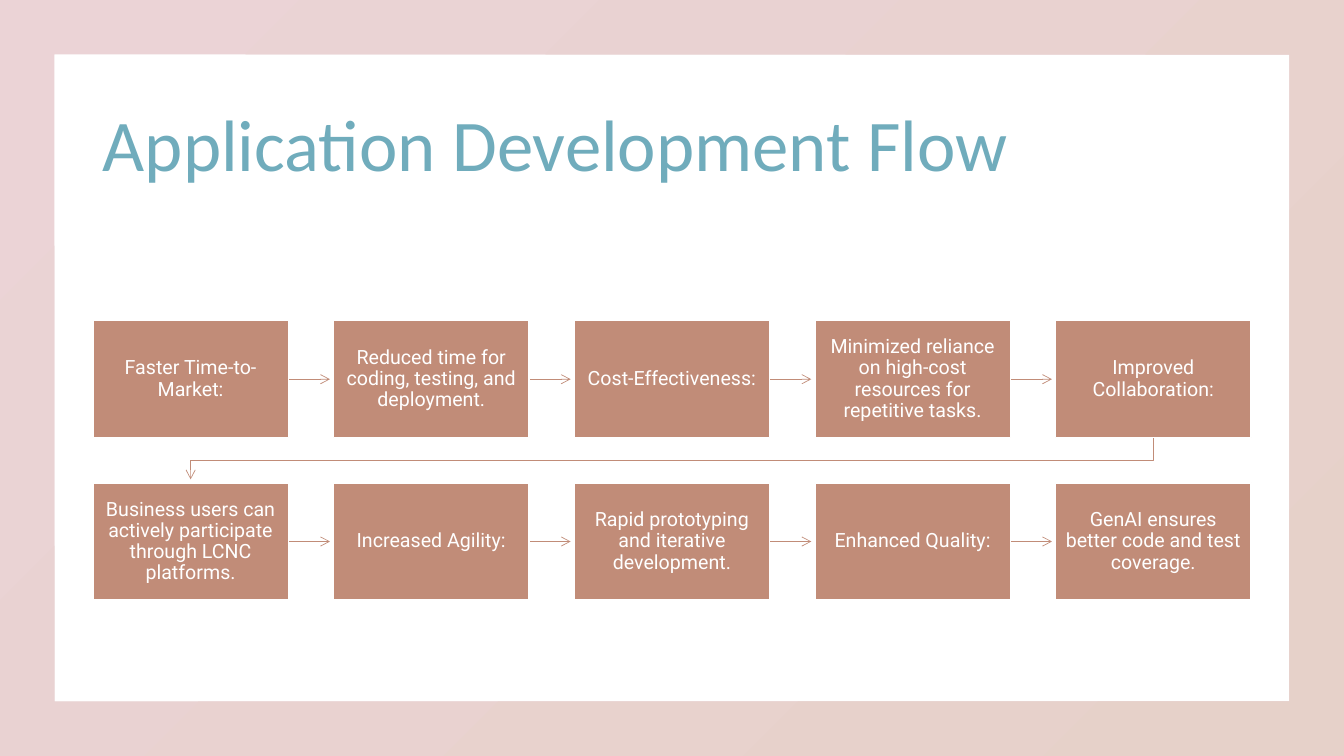
from lxml import etree
from pptx import Presentation
from pptx.dml.color import RGBColor
from pptx.enum.shapes import MSO_CONNECTOR, MSO_SHAPE
from pptx.enum.text import MSO_ANCHOR, MSO_AUTO_SIZE, PP_ALIGN
from pptx.oxml.ns import qn
from pptx.util import Cm, Pt

RECTANGLE, FRAME = MSO_SHAPE.RECTANGLE, MSO_SHAPE.FRAME
STRAIGHT = MSO_CONNECTOR.STRAIGHT
MIDDLE = MSO_ANCHOR.MIDDLE
LEFT, CENTER = PP_ALIGN.LEFT, PP_ALIGN.CENTER
NO_AUTOFIT = MSO_AUTO_SIZE.NONE

WHITE = RGBColor(0xFF, 0xFF, 0xFF)
TEAL = RGBColor(0x70, 0xAC, 0xBC)
CLAY = RGBColor(0xC1, 0x8C, 0x78)
PALE_ROSE = RGBColor(0xEB, 0xD3, 0xD6)
PALE_CLAY = RGBColor(0xE6, 0xD1, 0xC9)

STEPS = [
    "Faster Time-to-Market:",
    "Reduced time for coding, testing, and deployment.",
    "Cost-Effectiveness:",
    "Minimized reliance on high-cost resources for repetitive tasks.",
    "Improved Collaboration:",
    "Business users can actively participate through LCNC platforms.",
    "Increased Agility:",
    "Rapid prototyping and iterative development.",
    "Enhanced Quality:",
    "GenAI ensures better code and test coverage.",
]
COLUMNS = 5
STEP_WIDTH, STEP_HEIGHT = Cm(4.93), Cm(2.95)
ARROW_GAP = Cm(0.09)  # space between an arrowhead and the next step


def write_text(shape, text, *, font, size, color, align=LEFT, inset=Cm(0.25)):
    frame = shape.text_frame
    frame.word_wrap = True
    frame.auto_size = NO_AUTOFIT
    frame.vertical_anchor = MIDDLE
    frame.margin_left = frame.margin_right = inset
    frame.margin_top = frame.margin_bottom = inset
    paragraph = frame.paragraphs[0]
    paragraph.alignment = align
    paragraph.line_spacing = 0.9
    run = paragraph.add_run()
    run.text = text
    run.font.name = font
    run.font.size = Pt(size)
    run.font.color.rgb = color


def add_border(slide, left, top, width, height):
    border = slide.shapes.add_shape(FRAME, left, top, width, height)
    border.shadow.inherit = False
    border.adjustments[0] = 0.072
    border.line.fill.background()
    border.fill.gradient()
    border.fill.gradient_angle = 315
    for stop, color in zip(border.fill.gradient_stops, (PALE_ROSE, PALE_CLAY)):
        stop.color.rgb = color


def add_title(slide, left, top, width, height):
    title = slide.shapes.title
    title.left, title.top, title.width, title.height = left, top, width, height
    write_text(title, "Application Development Flow",
               font="Calibri", size=52, color=TEAL)


def add_step(slide, text, left, top):
    step = slide.shapes.add_shape(RECTANGLE, left, top, STEP_WIDTH, STEP_HEIGHT)
    step.shadow.inherit = False
    step.fill.solid()
    step.fill.fore_color.rgb = CLAY
    step.line.color.rgb = WHITE
    step.line.width = Pt(1)
    write_text(step, text, font="Roboto", size=14, color=WHITE, align=CENTER)


def style_arrow(arrow):
    """Give a line its colour, width and open head, without a shadow."""
    arrow.line.color.rgb = CLAY
    arrow.line.width = Pt(0.5)
    properties = arrow._element.spPr
    etree.SubElement(properties.get_or_add_ln(), qn("a:tailEnd"), type="arrow")
    etree.SubElement(properties, qn("a:effectLst"))


def add_step_arrow(slide, start, end, y):
    style_arrow(slide.shapes.add_connector(STRAIGHT, start, y, end, y))


def add_return_arrow(slide, start_x, start_y, end_x, end_y):
    """Lead from the end of one row down and back to the start of the next."""
    middle_y = (start_y + end_y + ARROW_GAP) // 2
    builder = slide.shapes.build_freeform(start_x, start_y)
    builder.add_line_segments(
        [(start_x, middle_y), (end_x, middle_y), (end_x, end_y)], close=False)
    arrow = builder.convert_to_shape()
    arrow.fill.background()
    style_arrow(arrow)


def add_flow(slide, left, top, width, height):
    """Place the steps in rows that fill the box, joined by arrows."""
    last_row = (len(STEPS) - 1) // COLUMNS
    column_pitch = (width - STEP_WIDTH) // (COLUMNS - 1)
    row_pitch = (height - STEP_HEIGHT) // last_row
    for index, text in enumerate(STEPS):
        row, column = divmod(index, COLUMNS)
        x, y = left + column * column_pitch, top + row * row_pitch
        if column < COLUMNS - 1:
            add_step_arrow(slide, x + STEP_WIDTH, x + column_pitch - ARROW_GAP,
                           y + STEP_HEIGHT // 2)
        elif row < last_row:
            add_return_arrow(slide, x + STEP_WIDTH // 2, y + STEP_HEIGHT,
                             left + STEP_WIDTH // 2, y + row_pitch - ARROW_GAP)
        add_step(slide, text, x, y)


def main():
    deck = Presentation()
    deck.slide_width, deck.slide_height = Cm(33.87), Cm(19.05)
    title_only = deck.slide_layouts[5]
    slide = deck.slides.add_slide(title_only)
    add_border(slide, 0, 0, deck.slide_width, deck.slide_height)
    add_title(slide, Cm(2.34), Cm(1.88), Cm(29.21), Cm(3.68))
    add_flow(slide, Cm(2.34), Cm(8.08), Cm(29.19), Cm(7.04))
    deck.save("out.pptx")


if __name__ == "__main__":
    main()
